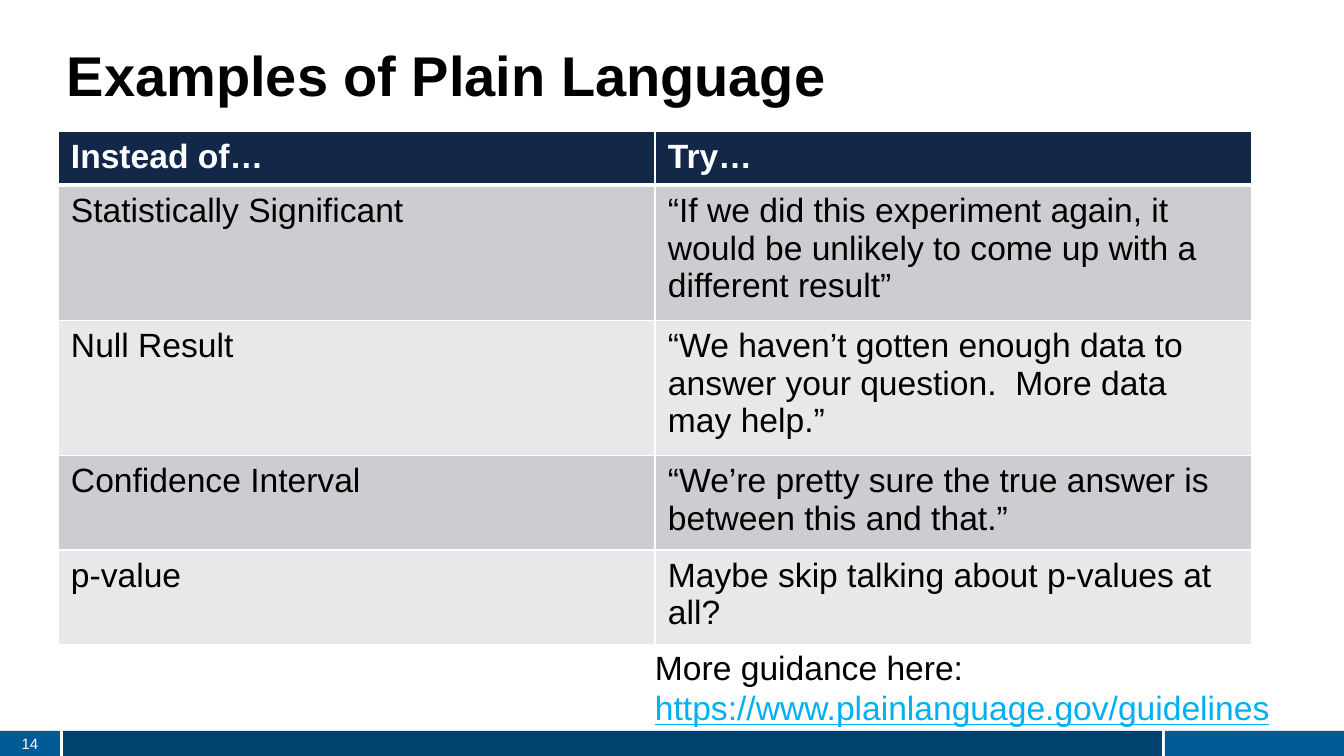
"""Build the plain language examples slide."""
from lxml import etree
from pptx import Presentation
from pptx.dml.color import RGBColor
from pptx.enum.shapes import MSO_SHAPE
from pptx.enum.text import MSO_ANCHOR, PP_ALIGN
from pptx.oxml.ns import qn
from pptx.util import Emu, Pt

RECTANGLE = MSO_SHAPE.RECTANGLE
TOP, MIDDLE = MSO_ANCHOR.TOP, MSO_ANCHOR.MIDDLE
LEFT, CENTER = PP_ALIGN.LEFT, PP_ALIGN.CENTER

TITLE = "Examples of Plain Language"
EXAMPLES = [
    ("Instead of…", "Try…"),
    ("Statistically Significant",
     "“If we did this experiment again, it would be unlikely to come up with a different result”"),
    ("Null Result",
     "“We haven’t gotten enough data to answer your question.  More data may help.”"),
    ("Confidence Interval",
     "“We’re pretty sure the true answer is between this and that.”"),
    ("p-value", "Maybe skip talking about p-values at all?"),
]
ROW_HEIGHTS = [54, 134, 134, 94, 94]
COLUMN_WIDTH = 597
GUIDANCE = "More guidance here: "
GUIDANCE_URL = "https://www.plainlanguage.gov/guidelines"
PAGE_NUMBER = "14"
FOOTER_BARS = [(0, 60, "005A96"), (63, 1099, "004370"), (1165, 179, "005A96")]
FOOTER_TOP, FOOTER_HEIGHT = 731, 25

FONT = "Arial"
BLACK, WHITE, LINK = "000000", "FFFFFF", "00B0F0"
HEADER_FILL, BAND_FILLS = "132749", ("E7E8E9", "CCCDD0")
CELL_INSETS = (13, 7, 13, 7)


def px(length):
    return Emu(round(length * 914400 / 100.8))


def color(code):
    return RGBColor.from_string(code)


def style(font, size, code, bold=False):
    font.name, font.size, font.bold = FONT, Pt(size), bold
    font.color.rgb = color(code)


def add_text(slide, box, text, size, code, bold=False, insets=(10, 5, 10, 5),
             anchor=TOP, align=LEFT):
    frame = slide.shapes.add_textbox(*map(px, box)).text_frame
    frame.word_wrap = True
    frame.vertical_anchor = anchor
    (frame.margin_left, frame.margin_top,
     frame.margin_right, frame.margin_bottom) = map(px, insets)
    paragraph = frame.paragraphs[0]
    paragraph.alignment = align
    paragraph.add_run().text = text
    style(paragraph.font, size, code, bold)
    return paragraph


def set_borders(cell, widths):
    properties = cell._tc.get_or_add_tcPr()
    for position, (side, width) in enumerate(widths.items()):
        line = etree.Element(qn(f"a:{side}"), w=str(Pt(width)))
        fill = etree.SubElement(line, qn("a:solidFill"))
        etree.SubElement(fill, qn("a:srgbClr"), val=WHITE)
        properties.insert(position, line)


def add_examples(slide):
    table = slide.shapes.add_table(
        len(EXAMPLES), 2, px(58), px(131), px(2 * COLUMN_WIDTH), px(sum(ROW_HEIGHTS))).table
    for column in table.columns:
        column.width = px(COLUMN_WIDTH)
    for row, (height, texts) in enumerate(zip(ROW_HEIGHTS, EXAMPLES)):
        table.rows[row].height = px(height)
        is_header = row == 0
        for column, text in enumerate(texts):
            cell = table.cell(row, column)
            cell.text = text
            (cell.margin_left, cell.margin_top,
             cell.margin_right, cell.margin_bottom) = map(px, CELL_INSETS)
            cell.fill.solid()
            cell.fill.fore_color.rgb = color(HEADER_FILL if is_header else BAND_FILLS[row % 2])
            style(cell.text_frame.paragraphs[0].font, 24,
                  WHITE if is_header else BLACK, is_header)
            set_borders(cell, {"lnL": 1, "lnR": 1, "lnT": 3 if row == 1 else 1,
                               "lnB": 3 if is_header else 1})


def add_footer(slide):
    for left, width, fill in FOOTER_BARS:
        bar = slide.shapes.add_shape(
            RECTANGLE, px(left), px(FOOTER_TOP), px(width), px(FOOTER_HEIGHT))
        bar.shadow.inherit = False
        bar.fill.solid()
        bar.fill.fore_color.rgb = color(fill)
        bar.line.fill.background()
    add_text(slide, (0, FOOTER_TOP, 60, FOOTER_HEIGHT), PAGE_NUMBER, 10.7, WHITE,
             insets=CELL_INSETS, anchor=MIDDLE, align=CENTER)


def main():
    deck = Presentation()
    deck.slide_width, deck.slide_height = px(1344), px(756)
    slide = deck.slides.add_slide(deck.slide_layouts[6])
    add_footer(slide)
    add_text(slide, (57, 30, 1221, 71), TITLE, 40, BLACK, True, insets=(10, 11, 10, 0))
    add_examples(slide)
    guidance = add_text(slide, (645, 642, 717, 92), GUIDANCE, 24, BLACK)
    url = guidance.add_run()
    url.text = GUIDANCE_URL
    url.font.color.rgb = color(LINK)
    url.font.underline = True
    deck.save("out.pptx")


if __name__ == "__main__":
    main()
